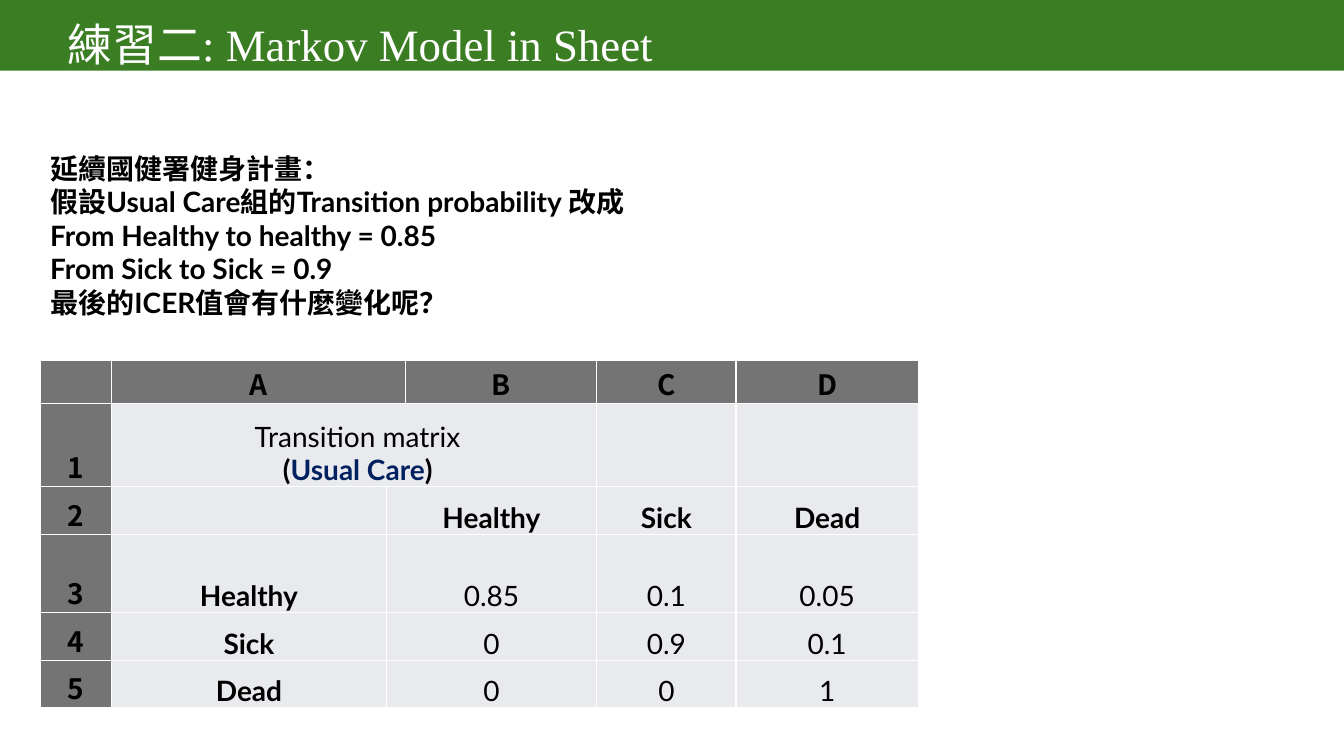
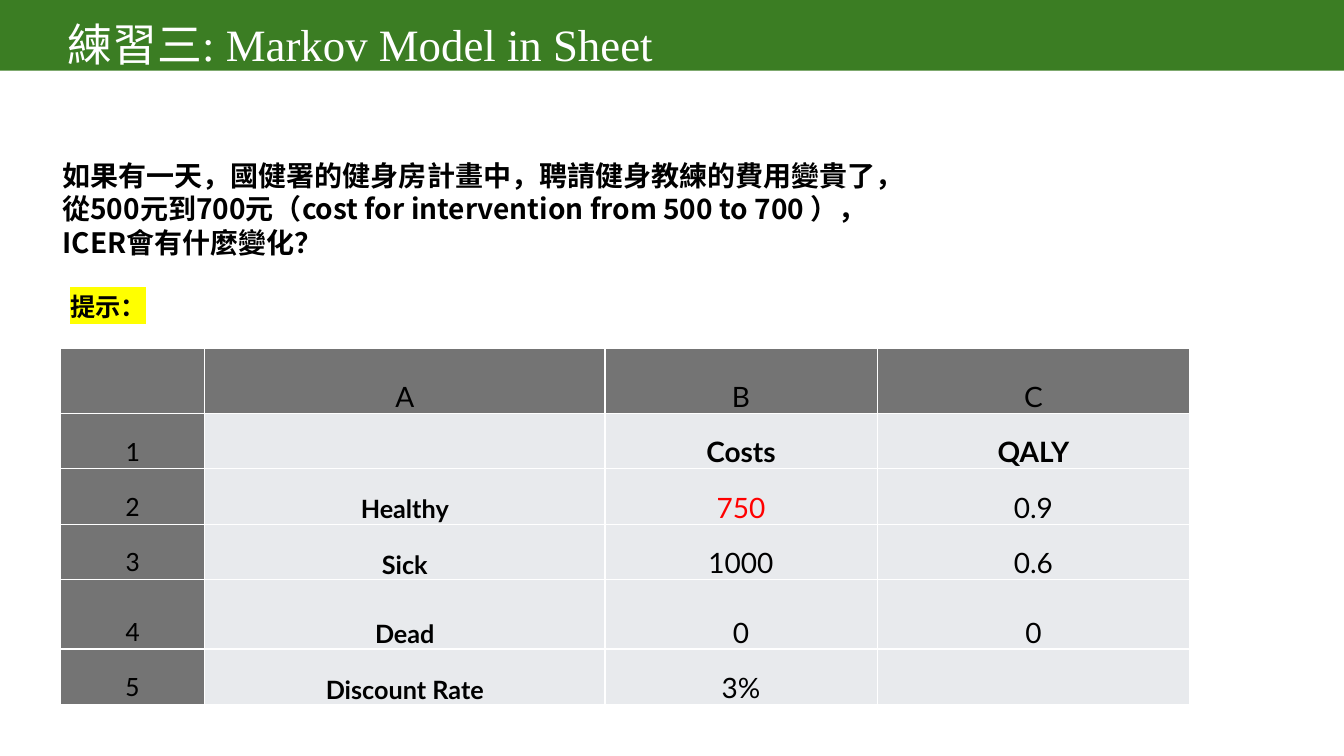
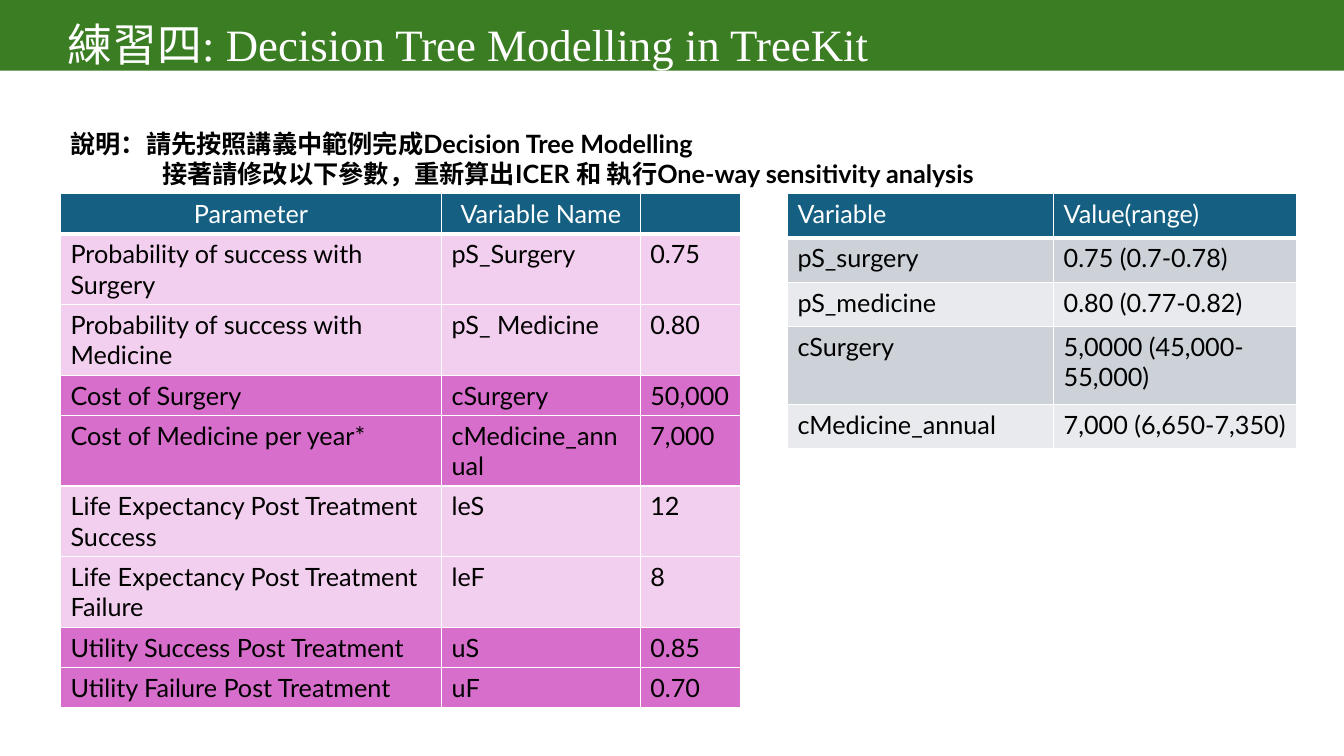
from lxml import etree
from pptx import Presentation
from pptx.dml.color import RGBColor
from pptx.enum.text import MSO_ANCHOR, MSO_AUTO_SIZE, PP_ALIGN
from pptx.oxml.ns import qn
from pptx.util import Inches, Pt

LEFT, CENTER = PP_ALIGN.LEFT, PP_ALIGN.CENTER
TOP, MIDDLE, BOTTOM = MSO_ANCHOR.TOP, MSO_ANCHOR.MIDDLE, MSO_ANCHOR.BOTTOM
NO_AUTOFIT = MSO_AUTO_SIZE.NONE

WIDTH, HEIGHT = 13.33, 7.5
TITLE_ONLY_LAYOUT = 5
SANS, SERIF, CJK, NUMBERS = "Lato", "Times New Roman", "Noto Sans CJK TC", "Calibri"

GREEN, WHITE, BLACK = "3B7D23", "FFFFFF", "000000"
GRAY, PALE, MID_GRAY = "747474", "E8EAED", "CCD2D8"
BLUE, NAVY, RED, YELLOW = "156082", "002060", "FF0000", "FFFF00"
PINK, MAGENTA = "F2CFEE", "D86ECC"

TITLE_TEXT = {"name": SERIF, "size": 32, "color": WHITE, "bold": False}
BODY_TEXT = {"name": SANS, "size": 20, "color": BLACK, "bold": True}
CELL_TEXT = {"name": SANS, "size": 20, "color": BLACK, "bold": False}
SMALL_TEXT = {**CELL_TEXT, "size": 18}
SHEET_CELL = {"vertical_anchor": BOTTOM, "margin_left": Inches(0.01),
              "margin_right": Inches(0.01), "margin_top": Inches(0.01),
              "margin_bottom": 0}


def rgb(color):
    return RGBColor.from_string(color)


def set_attributes(target, values):
    for name, value in values.items():
        setattr(target, name, value)


def format_run(run, style):
    font = run.font
    set_attributes(font, {"size": Pt(style["size"]), "bold": style["bold"],
                          "name": style["name"]})
    font.color.rgb = rgb(style["color"])
    properties = run._r.get_or_add_rPr()
    latin = properties.find(qn("a:latin"))
    east_asian = etree.Element(qn("a:ea"), typeface=CJK)
    latin.addnext(east_asian)
    if "highlight" in style:
        highlight = etree.Element(qn("a:highlight"))
        etree.SubElement(highlight, qn("a:srgbClr"), val=style["highlight"])
        latin.addprevious(highlight)


def write_text(frame, paragraphs, style, alignment=LEFT):
    """Write paragraphs, each a string or a list of (text, style changes)."""
    for index, content in enumerate(paragraphs):
        paragraph = frame.add_paragraph() if index else frame.paragraphs[0]
        paragraph.alignment = alignment
        runs = [(content, {})] if isinstance(content, str) else content
        for text, changes in runs:
            run = paragraph.add_run()
            run.text = text
            format_run(run, {**style, **changes})


def add_titled_slide(presentation, title):
    """Add a slide whose title placeholder is the green band."""
    slide = presentation.slides.add_slide(presentation.slide_layouts[TITLE_ONLY_LAYOUT])
    band = slide.shapes.title
    set_attributes(band, {"left": 0, "top": 0, "width": Inches(WIDTH),
                          "height": Inches(0.7)})
    band.fill.solid()
    band.fill.fore_color.rgb = rgb(GREEN)
    frame = band.text_frame
    set_attributes(frame, {"auto_size": NO_AUTOFIT, "vertical_anchor": MIDDLE,
                           "margin_left": Inches(0.67), "margin_right": 0,
                           "margin_top": Inches(0.16), "margin_bottom": 0})
    write_text(frame, [title], TITLE_TEXT)
    frame.paragraphs[0].space_before = Pt(11.2)
    return slide


def add_text(slide, box, paragraphs, style=BODY_TEXT, wrap=True):
    frame = slide.shapes.add_textbox(*map(Inches, box)).text_frame
    frame.word_wrap = wrap
    write_text(frame, paragraphs, style)
    return frame


def set_borders(cell, bottom):
    properties = cell._tc.get_or_add_tcPr()
    for side, points in (("L", 1), ("R", 1), ("T", 1), ("B", bottom)):
        line = etree.SubElement(properties, qn(f"a:ln{side}"), w=str(Pt(points)))
        fill = etree.SubElement(line, qn("a:solidFill"))
        etree.SubElement(fill, qn("a:srgbClr"), val=WHITE)


def add_grid(slide, origin, widths, heights, rows, cell_style, merges=()):
    """Add a table; cell_style(row, column) gives fill, text and layout values."""
    size = sum(widths), sum(heights)
    table = slide.shapes.add_table(len(heights), len(widths),
                                   *map(Inches, origin + size)).table
    set_attributes(table, {"first_row": False, "horz_banding": False})
    for column, width in zip(table.columns, widths):
        column.width = Inches(width)
    for row, height in zip(table.rows, heights):
        row.height = Inches(height)
    for row_index, row in enumerate(rows):
        for column_index, content in enumerate(row):
            cell = table.cell(row_index, column_index)
            style = cell_style(row_index, column_index)
            set_borders(cell, style.get("bottom", 1))
            cell.fill.solid()
            cell.fill.fore_color.rgb = rgb(style["fill"])
            set_attributes(cell, style.get("layout", {}))
            if content:
                paragraphs = content if isinstance(content, list) else [content]
                write_text(cell.text_frame, paragraphs, style["text"],
                           style.get("alignment", LEFT))
    for row, first, last in merges:
        table.cell(row, first).merge(table.cell(row, last))


def sheet_style(header_text, number_text, bold_cell, label_text):
    """Style a table that looks like a spreadsheet with gray row and column heads."""
    def style(row, column):
        if row == 0:
            text = header_text
        elif column == 0:
            text = number_text
        elif column == 1:
            text = label_text
        else:
            text = {**CELL_TEXT, "bold": bold_cell(row)}
        return {"fill": GRAY if row == 0 or column == 0 else PALE, "text": text,
                "layout": SHEET_CELL, "alignment": CENTER}
    return style


def banded_style(fills, centered_header=False):
    """Style a blue header row over rows filled with the given colors."""
    def style(row, column):
        if row == 0:
            return {"fill": BLUE, "text": {**SMALL_TEXT, "color": WHITE}, "bottom": 3,
                    "alignment": CENTER if centered_header else LEFT}
        return {"fill": fills[row - 1], "text": SMALL_TEXT}
    return style


def build_transition_slide(presentation):
    slide = add_titled_slide(presentation, "練習二: Markov Model in Sheet")
    add_text(slide, (0.4, 1.45, 6.67, 1.78), [
        [("延續國健署健身計畫：", {"name": CJK})],
        "假設Usual Care組的Transition probability 改成",
        "From Healthy to healthy = 0.85",
        "From Sick to Sick = 0.9",
        "最後的ICER值會有什麼變化呢？",
    ])
    matrix_title = [
        [(" Transition matrix", {"bold": False})],
        [(" (", {}), ("Usual Care", {"color": NAVY}), (")", {})],
    ]
    rows = [
        ["", "A", "", "B", "C", "D"],
        ["1", matrix_title, "", "", "", ""],
        ["2", "", "Healthy", "", "Sick", "Dead"],
        ["3", "Healthy", "0.85", "", "0.1", "0.05"],
        ["4", "Sick", "0", "", "0.9", "0.1"],
        ["5", "Dead", "0", "", "0", "1"],
    ]
    head_text = {**BODY_TEXT, "name": CJK}
    add_grid(slide, (0.4, 3.58), [0.71, 2.72, 0.19, 1.9, 1.38, 1.81],
             [0.42, 0.83, 0.47, 0.78, 0.47, 0.47], rows,
             sheet_style(head_text, head_text, lambda row: row == 2, BODY_TEXT),
             merges=[(0, 1, 2), (1, 1, 3)] + [(row, 2, 3) for row in range(2, 6)])


def build_cost_slide(presentation):
    slide = add_titled_slide(presentation, "練習三: Markov Model in Sheet")
    add_text(slide, (0.52, 1.52, 8.52, 1.11), [
        "如果有一天，國健署的健身房計畫中，聘請健身教練的費用變貴了，從500元到700元"
        "（cost for intervention from 500 to 700 ），ICER會有什麼變化？",
    ], {**BODY_TEXT, "name": CJK})
    add_text(slide, (0.6, 2.84, 0.98, 0.4), ["提示："],
             {**BODY_TEXT, "size": 18, "highlight": YELLOW}, wrap=False)
    rows = [
        ["", "A", "B", "C"],
        ["1", "", "Costs", "QALY"],
        ["2", "Healthy", [[("750", {"color": RED})]], "0.9"],
        ["3", "Sick", "1000", "0.6"],
        ["4", "Dead", "0", "0"],
        ["5", "Discount Rate", "3%", ""],
    ]
    add_grid(slide, (0.6, 3.46), [1.43, 3.97, 2.7, 3.1],
             [0.64, 0.55, 0.55, 0.55, 0.69, 0.55], rows,
             sheet_style(CELL_TEXT, {**CELL_TEXT, "name": NUMBERS},
                         lambda row: row == 1, {**BODY_TEXT, "size": 18}))


def build_decision_tree_slide(presentation):
    slide = add_titled_slide(presentation, "練習四: Decision Tree Modelling in TreeKit")
    frame = add_text(slide, (0.6, 1.22, 9.62, 0.7), [
        "說明：請先按照講義中範例完成Decision Tree Modelling",
        "接著請修改以下參數，重新算出ICER 和 執行One-way sensitivity analysis",
    ], {**BODY_TEXT, "size": 18})
    frame.paragraphs[1]._p.get_or_add_pPr().set("marL", str(Inches(0.91)))

    parameters = [
        ["Parameter", "Variable Name", ""],
        ["Probability of success with Surgery", "pS_Surgery", "0.75"],
        ["Probability of success with Medicine", "pS_ Medicine", "0.80"],
        ["Cost of Surgery", "cSurgery", "50,000"],
        ["Cost of Medicine per year*", "cMedicine_annual", "7,000"],
        ["Life Expectancy Post Treatment Success", "leS", "12"],
        ["Life Expectancy Post Treatment Failure", "leF", "8"],
        ["Utility Success Post Treatment", "uS", "0.85"],
        ["Utility Failure Post Treatment", "uF", "0.70"],
    ]
    single, double = 0.38, 0.66
    add_grid(slide, (0.6, 1.92), [3.78, 1.97, 1],
             [single, double, double, single, double, double, double, single, single],
             parameters, banded_style(([PINK] * 2 + [MAGENTA] * 2) * 2, True))

    ranges = [
        ["Variable", "Value(range)"],
        ["pS_surgery", "0.75 (0.7-0.78)"],
        ["pS_medicine", "0.80 (0.77-0.82)"],
        ["cSurgery", "5,0000 (45,000-55,000)"],
        ["cMedicine_annual", "7,000 (6,650-7,350)"],
    ]
    add_grid(slide, (7.81, 1.92), [2.64, 2.41], [0.44, 0.44, 0.44, 0.77, 0.44],
             ranges, banded_style([MID_GRAY, PALE] * 2))


def main():
    presentation = Presentation()
    presentation.slide_width = Inches(WIDTH)
    presentation.slide_height = Inches(HEIGHT)
    build_transition_slide(presentation)
    build_cost_slide(presentation)
    build_decision_tree_slide(presentation)
    presentation.save("out.pptx")


if __name__ == "__main__":
    main()
